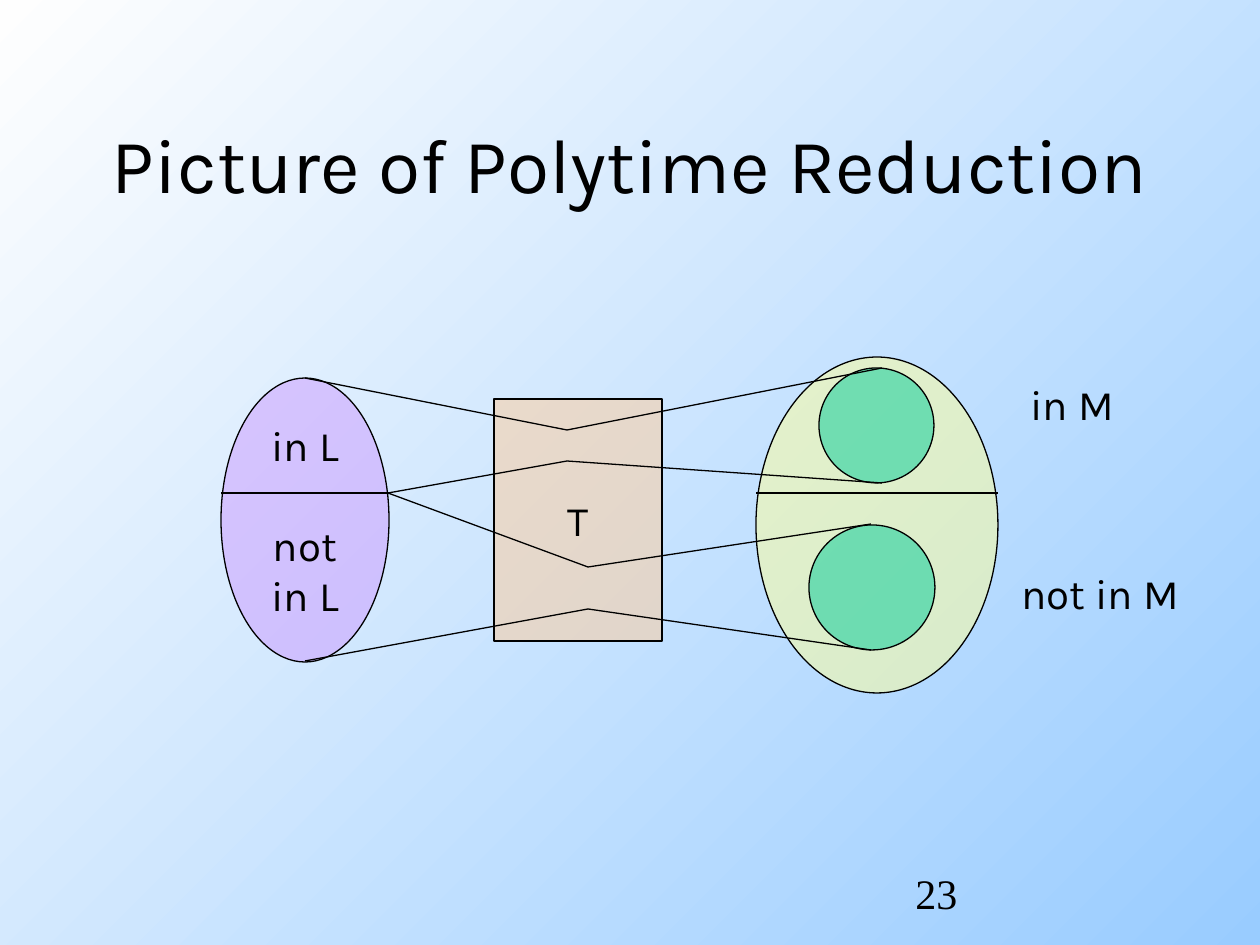
from dataclasses import dataclass

from lxml.etree import SubElement
from pptx import Presentation
from pptx.dml.color import RGBColor
from pptx.enum.shapes import MSO_CONNECTOR, MSO_SHAPE
from pptx.enum.text import MSO_ANCHOR, MSO_AUTO_SIZE, PP_ALIGN
from pptx.oxml.ns import qn
from pptx.util import Pt

EMU_PER_PX = 914400 / 126


def px(n):
    return round(n * EMU_PER_PX)


@dataclass(frozen=True)
class Theme:
    ink: str = "000000"
    sky: str = "99CCFF"
    white: str = "FEFEFE"
    machine: str = "FFCC99"
    source: str = "CC99FF"
    target: str = "FFFF99"
    image: str = "00CC99"
    opacity: int = 50
    font: str = "Karla"
    number_font: str = "Times New Roman"
    title_size: int = 44
    text_size: int = 24
    line_width: float = 0.75


class SlideBuilder:
    def __init__(self, slide, theme):
        self.s = slide
        self.theme = theme

    def background(self):
        fill = self.s.background.fill
        fill.gradient()
        fill.gradient_angle = 135
        for stop, color in zip(fill.gradient_stops, (self.theme.sky, self.theme.white)):
            stop.color.rgb = RGBColor.from_string(color)
        fill.gradient_stops[0].position = 0
        fill.gradient_stops[1].position = 1

    def style(self, p, size, align, font=None):
        p.alignment = align
        p.font.name = font or self.theme.font
        p.font.size = Pt(size)
        p.font.color.rgb = RGBColor.from_string(self.theme.ink)

    def outline(self, line):
        line.color.rgb = RGBColor.from_string(self.theme.ink)
        line.width = Pt(self.theme.line_width)

    def title(self, text, x, y, w, h):
        sp = self.s.shapes.title
        sp.left, sp.top, sp.width, sp.height = map(px, (x, y, w, h))
        tf = sp.text_frame
        tf.text = text
        tf.auto_size = MSO_AUTO_SIZE.NONE
        tf.vertical_anchor = MSO_ANCHOR.MIDDLE
        self.style(tf.paragraphs[0], self.theme.title_size, PP_ALIGN.CENTER)

    def shape(self, kind, color, x, y, w, h, lines=()):
        sp = self.s.shapes.add_shape(kind, *map(px, (x, y, w, h)))
        sp.shadow.inherit = False
        sp.fill.solid()
        sp.fill.fore_color.rgb = RGBColor.from_string(color)
        rgb = sp.element.spPr.find(qn("a:solidFill")).find(qn("a:srgbClr"))
        SubElement(rgb, qn("a:alpha"), val=str(self.theme.opacity * 1000))
        self.outline(sp.line)
        tf = sp.text_frame
        tf.word_wrap = False
        tf.vertical_anchor = MSO_ANCHOR.MIDDLE
        tf.text = "\n".join(lines)
        for p in tf.paragraphs:
            self.style(p, self.theme.text_size, PP_ALIGN.CENTER)
        return sp

    def label(self, text, x, y, w, h, font=None):
        tf = self.s.shapes.add_textbox(*map(px, (x, y, w, h))).text_frame
        tf.word_wrap = False
        tf.text = text
        self.style(tf.paragraphs[0], self.theme.text_size, PP_ALIGN.LEFT, font)

    def line(self, start, end):
        c = self.s.shapes.add_connector(MSO_CONNECTOR.STRAIGHT, *map(px, start + end))
        self.outline(c.line)
        SubElement(c.element.spPr, qn("a:effectLst"))

    def mapping(self, circle, routes):
        for start, bend, _ in routes:
            self.line(start, bend)
        self.shape(MSO_SHAPE.OVAL, self.theme.image, *circle)
        for _, bend, end in routes:
            self.line(bend, end)


def main():
    prs = Presentation()
    prs.slide_width, prs.slide_height = px(1260), px(945)
    theme = Theme()
    b = SlideBuilder(prs.slides.add_slide(prs.slide_layouts[5]), theme)

    b.background()
    b.title("Picture of Polytime Reduction", 95, 84, 1071, 158)
    b.shape(MSO_SHAPE.RECTANGLE, theme.machine, 494, 399, 168, 242, ["T"])
    source = b.shape(MSO_SHAPE.OVAL, theme.source, 221, 378, 168, 284,
                     ["in L", "not", "in L"])
    source.text_frame.paragraphs[1].space_before = Pt(28)
    b.line((221, 493), (389, 493))
    b.shape(MSO_SHAPE.OVAL, theme.target, 756, 357, 242, 336)
    b.line((756, 493), (998, 493))
    b.label("in M", 1018, 372, 111, 63)
    b.label("not in M", 1009, 561, 188, 63)

    top, middle, bottom = (305, 378), (388, 493), (305, 661)
    b.mapping((819, 368, 115, 115), [
        (top, (567, 430), (882, 368)),
        (middle, (567, 461), (882, 483)),
    ])
    b.mapping((809, 525, 126, 125), [
        (middle, (588, 567), (871, 524)),
        (bottom, (588, 609), (871, 650)),
    ])
    b.label("23", 903, 861, 262, 63, theme.number_font)
    prs.save("out.pptx")


if __name__ == "__main__":
    main()
